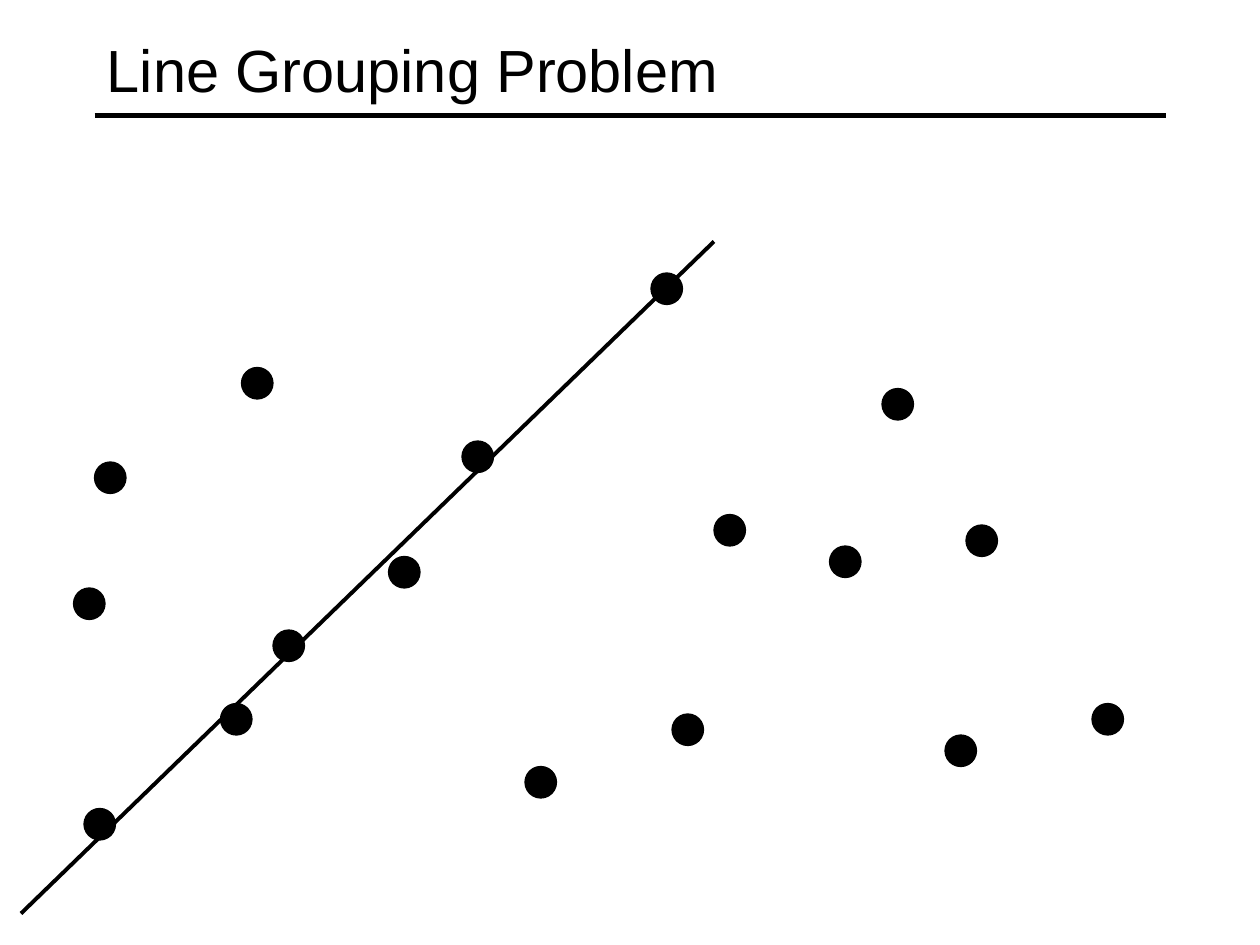
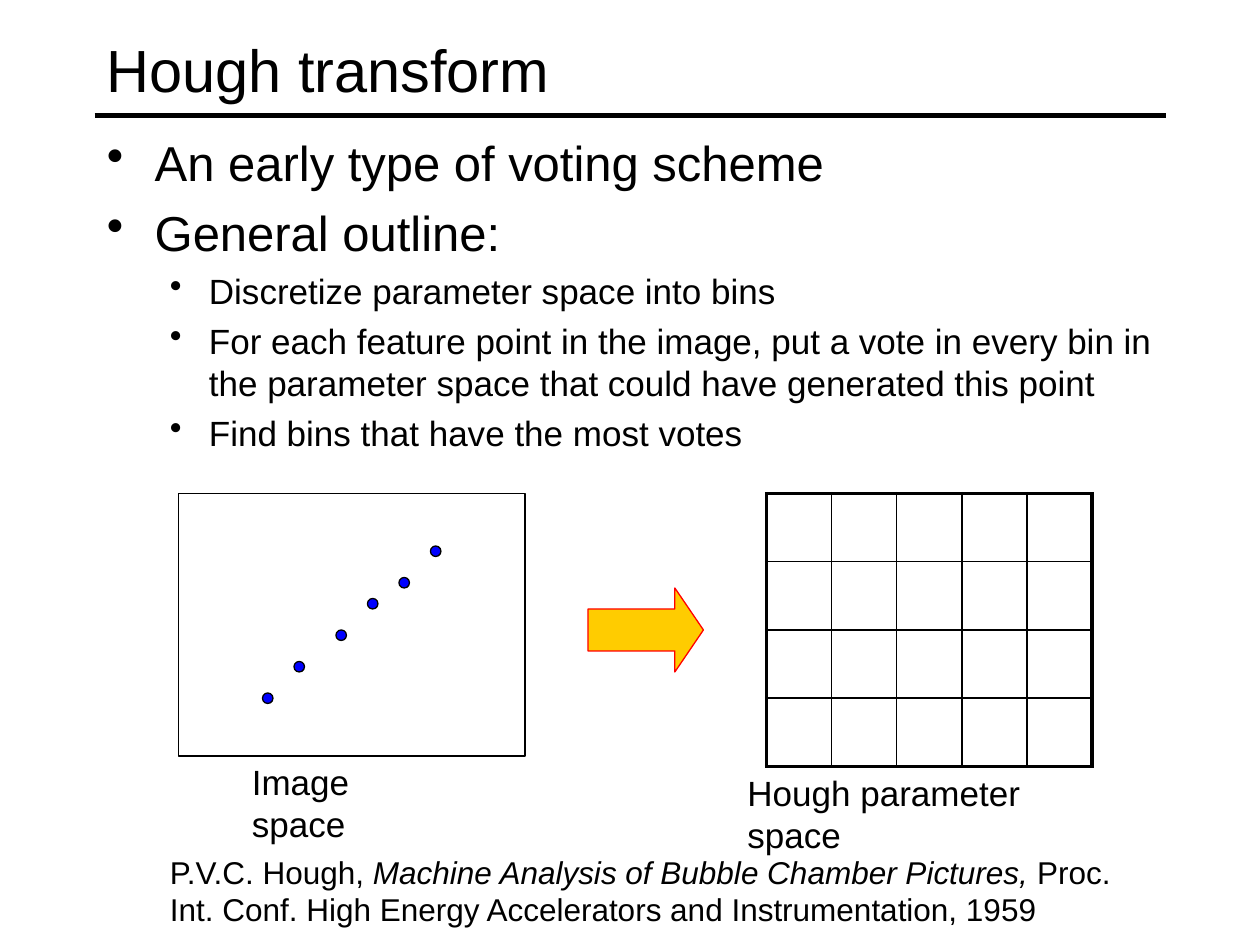
import pptx
import pptx.dml.color
import pptx.enum.shapes
import pptx.enum.text
import pptx.oxml
import pptx.oxml.ns
import pptx.util

RGBColor = pptx.dml.color.RGBColor
Shapes = pptx.enum.shapes.MSO_SHAPE
Anchor = pptx.enum.text.MSO_ANCHOR

# ---- Content: places are columns and rows of a grid of 12 to the inch ----
COLUMNS, ROWS = 120, 90

GROUPING_TITLE = "Line Grouping Problem"
POINTS_ON_LINE = [(26, 60), (37, 53), (44, 42), (62, 26), (21, 67), (8, 77)]
STRAY_POINTS = [(64, 68), (23, 35), (68, 49), (90, 70), (92, 50), (79, 52),
                (50, 73), (7, 56), (9, 44), (104, 67), (84, 37)]
FITTED_LINE = (2, 87, 68, 23)

HOUGH_TITLE = "Hough transform"
OUTLINE = [
    (0, "An early type of voting scheme"),
    (0, "General outline:"),
    (1, "Discretize parameter space into bins"),
    (1, "For each feature point in the image, put a vote in every bin "
        "in the parameter space that could have generated this point"),
    (1, "Find bins that have the most votes"),
]
CITATION = [
    ("P.V.C. Hough, ", False),
    ("Machine Analysis of Bubble Chamber Pictures,", True),
    (" Proc. Int. Conf. High Energy Accelerators and Instrumentation, 1959", False),
]
CAPTIONS = [
    ("Image space", (22.8, 71.8, 21, 9.2)),
    ("Hough parameter space", (70, 72.9, 37.8, 9.2)),
]
FEATURE_POINTS = [(25, 66), (28, 63), (32, 60), (35, 57), (38, 55), (41, 52)]
BIN_COLUMNS, BIN_ROWS = 5, 4

# ---- Shared look ----
BLACK = RGBColor(0x00, 0x00, 0x00)
BLUE = RGBColor(0x00, 0x00, 0xFF)
GOLD = RGBColor(0xFF, 0xCC, 0x00)
RED = RGBColor(0xFF, 0x00, 0x00)

TITLE_AREA = (9, 1, 102, 11)
TITLE_RULE = (9, 11, 111, 11)
BODY_AREA = (9, 12, 102, 69)
CITATION_AREA = (15, 80.6, 93.6, 8.4)
IMAGE_FRAME = (17, 47, 33, 25)
ARROW_AREA = (56, 56, 11, 8)
BINS_AREA = (73, 47, 31, 26)

THIN, INNER, OUTER = 0.75, 1, 2.25

# size, space before, left indent and hanging indent (inches) of each level
LEVELS = [
    {"size": 28, "before": 6.4, "indent": 0.38, "hanging": 0.38},
    {"size": 20, "before": 4.6, "indent": 0.81, "hanging": 0.31},
]


def grid(*values):
    """Turn grid units into lengths."""
    return [pptx.util.Inches(value / 12) for value in values]


def set_font(font, size, **extra):
    for name, value in {"name": "Arial", "size": pptx.util.Pt(size), **extra}.items():
        setattr(font, name, value)
    font.color.rgb = BLACK


def add_text_frame(slide, area, anchor=Anchor.TOP):
    frame = slide.shapes.add_textbox(*grid(*area)).text_frame
    for name, value in {"word_wrap": True, "vertical_anchor": anchor}.items():
        setattr(frame, name, value)
    return frame


def add_text(slide, area, runs, size, anchor=Anchor.TOP):
    paragraph = add_text_frame(slide, area, anchor).paragraphs[0]
    for text, italic in runs:
        run = paragraph.add_run()
        run.text = text
        set_font(run.font, size, italic=italic)


def add_line(slide, ends, width):
    line = slide.shapes.add_connector(
        pptx.enum.shapes.MSO_CONNECTOR.STRAIGHT, *grid(*ends))
    line.line.color.rgb = BLACK
    line.line.width = pptx.util.Pt(width)
    properties = line.element.find(pptx.oxml.ns.qn("p:spPr"))
    properties.append(pptx.oxml.parse_xml(
        f'<a:effectLst {pptx.oxml.ns.nsdecls("a")}/>'))


def add_figure(slide, kind, area, fill=None, outline=BLACK):
    shape = slide.shapes.add_shape(kind, *grid(*area))
    shape.shadow.inherit = False
    if fill is None:
        shape.fill.background()
    else:
        shape.fill.solid()
        shape.fill.fore_color.rgb = fill
    shape.line.color.rgb = outline
    shape.line.width = pptx.util.Pt(THIN)
    return shape


def add_dots(slide, points, diameter, fill):
    for column, row in points:
        add_figure(slide, Shapes.OVAL, (column, row, diameter, diameter), fill)


def add_titled_slide(presentation, title):
    slide = presentation.slides.add_slide(presentation.slide_layouts[6])
    add_line(slide, TITLE_RULE, 3)
    add_text(slide, TITLE_AREA, [(title, False)], 34, Anchor.MIDDLE)
    return slide


def add_outline(slide):
    frame = add_text_frame(slide, BODY_AREA)
    for number, (level, text) in enumerate(OUTLINE):
        style = LEVELS[level]
        paragraph = frame.add_paragraph() if number else frame.paragraphs[0]
        paragraph.text = text
        paragraph.level = level
        if number:
            paragraph.space_before = pptx.util.Pt(style["before"])
        properties = paragraph._p.get_or_add_pPr()
        properties.set("marL", str(pptx.util.Inches(style["indent"])))
        properties.set("indent", str(-pptx.util.Inches(style["hanging"])))
        properties.append(pptx.oxml.parse_xml(
            f'<a:buChar {pptx.oxml.ns.nsdecls("a")} char="•"/>'))
        set_font(paragraph.font, style["size"])


def set_borders(cell, widths):
    properties = cell._tc.get_or_add_tcPr()
    for side, width in widths.items():
        properties.append(pptx.oxml.parse_xml(
            f'<a:ln{side} {pptx.oxml.ns.nsdecls("a")} w="{pptx.util.Pt(width)}">'
            f'<a:solidFill><a:srgbClr val="{BLACK}"/></a:solidFill></a:ln{side}>'))
    cell.fill.background()


def add_bins(slide):
    table = slide.shapes.add_table(BIN_ROWS, BIN_COLUMNS, *grid(*BINS_AREA)).table
    table.first_row = table.horz_banding = False
    for row in range(BIN_ROWS):
        for column in range(BIN_COLUMNS):
            on_edge = {"L": column == 0, "R": column == BIN_COLUMNS - 1,
                       "T": row == 0, "B": row == BIN_ROWS - 1}
            set_borders(table.cell(row, column),
                        {side: OUTER if edge else INNER
                         for side, edge in on_edge.items()})


def build_grouping_slide(presentation):
    slide = add_titled_slide(presentation, GROUPING_TITLE)
    add_dots(slide, POINTS_ON_LINE + STRAY_POINTS, 3, BLACK)
    add_line(slide, FITTED_LINE, 2.25)


def build_hough_slide(presentation):
    slide = add_titled_slide(presentation, HOUGH_TITLE)
    add_outline(slide)
    add_text(slide, CITATION_AREA, CITATION, 18, Anchor.MIDDLE)

    # Image space, arrow, parameter space
    add_figure(slide, Shapes.RECTANGLE, IMAGE_FRAME)
    arrow = add_figure(slide, Shapes.RIGHT_ARROW, ARROW_AREA, GOLD, RED)
    arrow.adjustments[1] = 0.34
    add_bins(slide)
    add_dots(slide, FEATURE_POINTS, 1, BLUE)
    for caption, area in CAPTIONS:
        add_text(slide, area, [(caption, False)], 20)


def main():
    presentation = pptx.Presentation()
    presentation.slide_width, presentation.slide_height = grid(COLUMNS, ROWS)
    build_grouping_slide(presentation)
    build_hough_slide(presentation)
    presentation.save("out.pptx")


if __name__ == "__main__":
    main()
